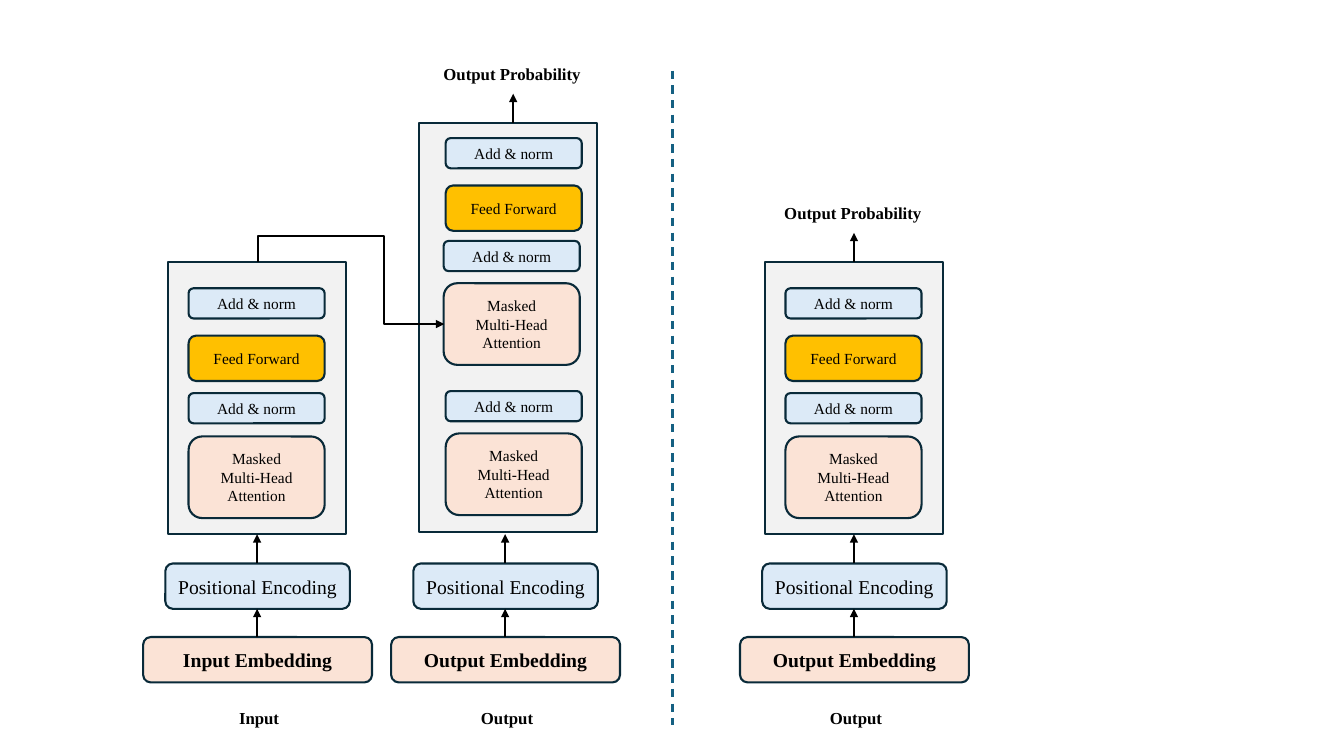
from lxml import etree
from pptx import Presentation
from pptx.dml.color import RGBColor
from pptx.enum.dml import MSO_LINE
from pptx.enum.shapes import MSO_CONNECTOR, MSO_SHAPE
from pptx.enum.text import MSO_ANCHOR, MSO_AUTO_SIZE, PP_ALIGN
from pptx.oxml.ns import qn
from pptx.util import Pt

PX = 9144  # 100 px to the inch
FONT = "Times New Roman"
RECT, ROUND = MSO_SHAPE.RECTANGLE, MSO_SHAPE.ROUNDED_RECTANGLE
STRAIGHT, ELBOW = MSO_CONNECTOR.STRAIGHT, MSO_CONNECTOR.ELBOW
DASH, MIDDLE = MSO_LINE.DASH, MSO_ANCHOR.MIDDLE
CENTER, GROW = PP_ALIGN.CENTER, MSO_AUTO_SIZE.SHAPE_TO_FIT_TEXT

BLACK = RGBColor(0x00, 0x00, 0x00)
NAVY = RGBColor(0x09, 0x2A, 0x39)
TEAL = RGBColor(0x15, 0x60, 0x82)
GRAY = RGBColor(0xF2, 0xF2, 0xF2)
PEACH = RGBColor(0xFB, 0xE3, 0xD6)
BLUE = RGBColor(0xDC, 0xEA, 0xF7)
GOLD = RGBColor(0xFF, 0xC0, 0x00)

# Sublayers: text, height, fill
NORM = ("Add & norm", 30, BLUE)
FORWARD = ("Feed Forward", 45, GOLD)
ATTENTION = ("Masked\nMulti-Head Attention", 81, PEACH)

# Layers inside a panel: sublayer, x and y from the panel's corner
SINGLE = [(ATTENTION, 20, 173), (NORM, 20, 130), (FORWARD, 20, 73), (NORM, 20, 26)]
DOUBLE = [(ATTENTION, 26, 308), (NORM, 26, 266), (ATTENTION, 24, 159),
          (NORM, 24, 117), (FORWARD, 26, 62), (NORM, 26, 15)]


def px(*lengths):
    return [n * PX for n in lengths]


def write(tf, text, size=11, bold=False):
    for i, line in enumerate(text.split("\n")):
        p = tf.add_paragraph() if i else tf.paragraphs[0]
        p.alignment = CENTER
        r = p.add_run()
        r.text = line
        r.font.name, r.font.size, r.font.bold = FONT, Pt(size), bold
        r.font.color.rgb = BLACK


def box(s, x, y, w, h, fill, text="", shape=ROUND, **fmt):
    sp = s.shapes.add_shape(shape, *px(x, y, w, h))
    sp.shadow.inherit = False
    sp.fill.solid()
    sp.fill.fore_color.rgb = fill
    sp.line.color.rgb, sp.line.width = NAVY, Pt(1.5)
    if text:
        sp.text_frame.vertical_anchor = MIDDLE
        write(sp.text_frame, text, **fmt)


def label(s, x, y, text):
    tf = s.shapes.add_textbox(*px(x, y, 180, 30)).text_frame
    tf.word_wrap, tf.auto_size = True, GROW
    write(tf, text, size=12, bold=True)


def line(s, x1, y1, x2, y2, color=BLACK, kind=STRAIGHT, arrow=True):
    cx = s.shapes.add_connector(kind, *px(x1, y1, x2, y2))
    cx.line.color.rgb, cx.line.width = color, Pt(1.5)
    if arrow:
        etree.SubElement(cx.line._get_or_add_ln(), qn("a:tailEnd"), type="triangle")
    etree.SubElement(cx._element.spPr, qn("a:effectLst"))
    return cx


def panel(s, x, y, h, layers):
    box(s, x, y, 176, h, GRAY, shape=RECT)
    for (text, height, fill), dx, dy in layers:
        box(s, x + dx, y + dy, 135, height, fill, text)


def column(s, cx, side, panel_x, panel_y, panel_h, layers, exit_x=None):
    """Stack one model around the centre line cx, from its caption upwards."""
    label(s, cx - 88, 697, side)
    box(s, cx - 113, 632, 227, 45, PEACH, side + " Embedding", size=14, bold=True)
    box(s, cx - 91, 559, 183, 45, BLUE, "Positional Encoding", size=14)
    panel(s, panel_x, panel_y, panel_h, layers)
    line(s, cx, 632, cx, 604)
    line(s, cx, 559, cx, 530)
    if exit_x:
        line(s, exit_x, panel_y, exit_x, panel_y - 29)
        label(s, exit_x - 91, panel_y - 64, "Output Probability")


def encoder_link(s):
    """Run from the encoder's top, up and over, into the decoder's attention."""
    cx = line(s, 317, 198, 379, 383, kind=ELBOW)
    xfrm = cx._element.spPr.find(qn("a:xfrm"))
    xfrm.set("rot", "16200000")
    xfrm.set("flipH", "1")
    geom = cx._element.spPr.find(qn("a:prstGeom"))
    geom.set("prst", "bentConnector4")
    guides = geom.find(qn("a:avLst"))
    if guides is None:
        guides = etree.SubElement(geom, qn("a:avLst"))
    for name, value in (("adj1", -40300), ("adj2", 67800)):
        etree.SubElement(guides, qn("a:gd"), name=name, fmla=f"val {value}")


def main():
    prs = Presentation()
    prs.slide_width, prs.slide_height = px(1333, 750)
    s = prs.slides.add_slide(prs.slide_layouts[6])

    # Encoder and decoder
    column(s, 255, "Input", 167, 260, 270, SINGLE)
    column(s, 501, "Output", 416, 122, 406, DOUBLE, exit_x=509)
    encoder_link(s)

    # Divider
    divider = line(s, 667, 70, 667, 719, TEAL, arrow=False)
    divider.line.dash_style = DASH

    # Decoder only
    column(s, 847, "Output", 759, 260, 270, SINGLE, exit_x=847)

    prs.save("out.pptx")


if __name__ == "__main__":
    main()
